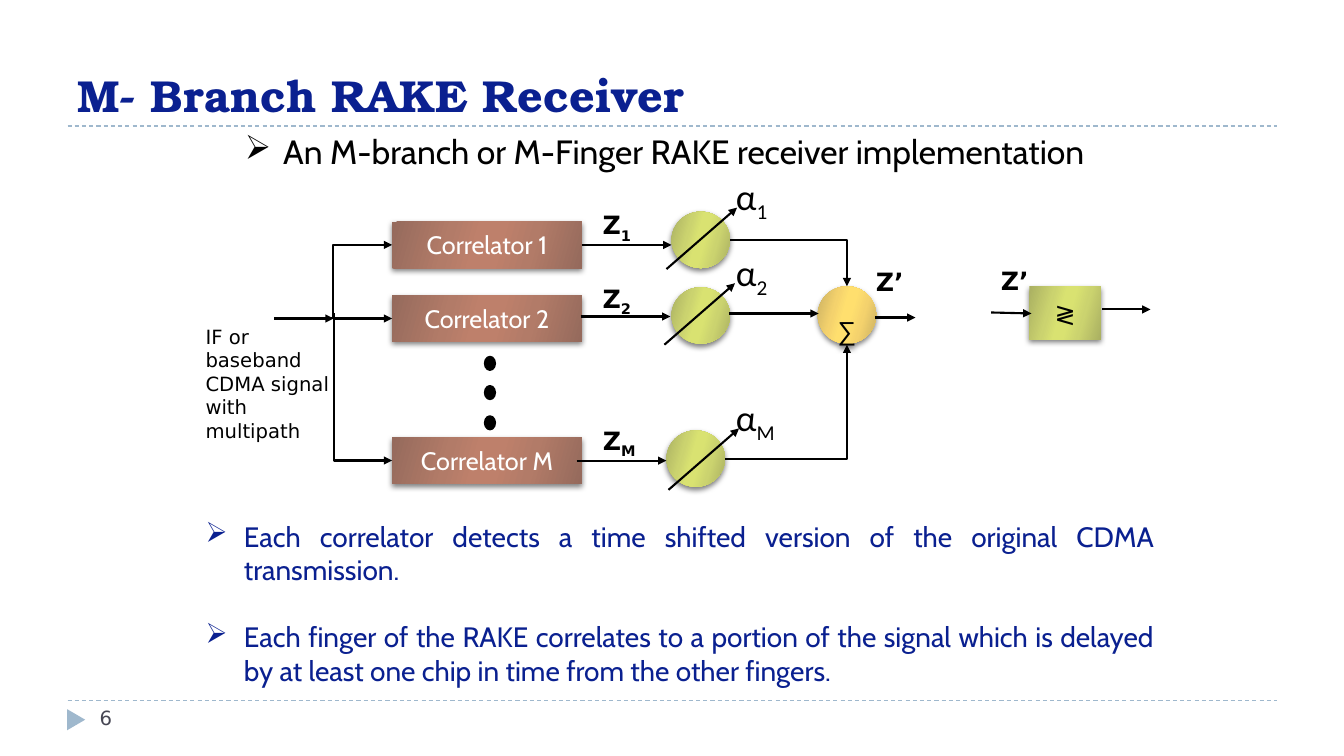
from dataclasses import dataclass

from lxml.etree import SubElement
from pptx import Presentation
from pptx.dml.color import RGBColor
from pptx.enum.dml import MSO_LINE
from pptx.enum.shapes import MSO_CONNECTOR as Wire, MSO_SHAPE as Preset
from pptx.enum.text import MSO_ANCHOR as Anchor, PP_ALIGN as Align
from pptx.oxml.ns import qn
from pptx.util import Inches, Pt


@dataclass(frozen=True)
class Theme:
    navy: str = "0A2090"
    black: str = "000000"
    white: str = "FFFFFF"
    slate: str = "464653"
    rule: str = "9FB8CD"
    # Gradient tones: edge, shoulder, centre
    brown: tuple = ("956A5C", "B27B68", "BE806B")
    lime: tuple = ("AAB062", "CBD36F", "D9E271")
    amber: tuple = ("CAB062", "F4D26D", "FFDF6E")
    heading: str = "TeX Gyre Bonum"
    body: str = "Cabin"
    label: str = "DejaVu Sans"
    greek: str = "Calibri"
    symbol: str = "Arial"
    title_size: int = 32
    gain_size: int = 26
    lead_size: int = 24
    body_size: int = 20
    label_size: int = 18
    small_size: int = 14


def rgb(code):
    return RGBColor.from_string(code)


def write(frame, *paragraphs, size, font, color, bold=False, align=Align.LEFT,
          anchor=Anchor.TOP, bullet=False, gap=0):
    """Fill a frame; whatever follows an underscore is set as a subscript."""
    frame.word_wrap = True
    frame.vertical_anchor = anchor
    for number, text in enumerate(paragraphs):
        para = frame.add_paragraph() if number else frame.paragraphs[0]
        para.alignment = align
        if number and gap:
            para.space_before = Pt(gap)
        if bullet:
            props = para._p.get_or_add_pPr()
            props.set("marL", str(Inches(0.38)))
            props.set("indent", str(-Inches(0.38)))
            SubElement(SubElement(props, qn("a:buClr")), qn("a:srgbClr"), val=color)
            SubElement(props, qn("a:buFont"), typeface="Wingdings")
            SubElement(props, qn("a:buChar"), char="Ø")
        for level, piece in enumerate(text.split("_")):
            if not piece:
                continue
            run = para.add_run()
            run.text = piece
            run.font.size, run.font.name, run.font.bold = Pt(size), font, bold
            run.font.color.rgb = rgb(color)
            if level:
                run.font._element.set("baseline", "-25000")


class Diagram:
    def __init__(self, slide, theme):
        self.slide, self.theme = slide, theme

    def text(self, left, top, width, height, *paragraphs, **style):
        box = self.slide.shapes.add_textbox(*map(Inches, (left, top, width, height)))
        write(box.text_frame, *paragraphs, **style)

    def solid(self, preset, left, top, width, height, color, turn=0):
        shape = self.slide.shapes.add_shape(preset, *map(Inches, (left, top, width, height)))
        shape.rotation = turn
        shape.shadow.inherit = False
        shape.fill.solid()
        shape.fill.fore_color.rgb = rgb(color)
        shape.line.fill.background()
        return shape

    def block(self, preset, left, top, width, height, tones, text="", **style):
        """Glossy shape with a soft shadow below it."""
        shape = self.slide.shapes.add_shape(preset, *map(Inches, (left, top, width, height)))
        props = shape._element.spPr
        gradient = SubElement(props, qn("a:gradFill"), rotWithShape="1")
        stops = SubElement(gradient, qn("a:gsLst"))
        edge, shoulder, centre = tones
        for place, tone in ((0, edge), (30, shoulder), (45, centre),
                            (55, centre), (73, shoulder), (100, edge)):
            stop = SubElement(stops, qn("a:gs"), pos=str(place * 1000))
            SubElement(stop, qn("a:srgbClr"), val=tone)
        SubElement(gradient, qn("a:lin"), ang=str(16 * 60000), scaled="0")
        shape.line.fill.background()
        shape.shadow.inherit = False
        shadow = SubElement(props.find(qn("a:effectLst")), qn("a:outerShdw"),
                            blurRad=str(Pt(4)), dist=str(Pt(2)), dir="5400000",
                            algn="ctr", rotWithShape="0")
        shade = SubElement(shadow, qn("a:srgbClr"), val=self.theme.black)
        SubElement(shade, qn("a:alpha"), val="50000")
        if text:
            write(shape.text_frame, text, align=Align.CENTER, anchor=Anchor.MIDDLE, **style)

    def line(self, start, end, color, width, kind=Wire.STRAIGHT):
        wire = self.slide.shapes.add_connector(kind, *map(Inches, (*start, *end)))
        wire.line.color.rgb = rgb(color)
        wire.line.width = Pt(width)
        SubElement(wire._element.spPr, qn("a:effectLst"))
        return wire

    def rule(self, height):
        wire = self.line((0.67, height), (12.67, height), self.theme.rule, 0.75)
        wire.line.dash_style = MSO_LINE.DASH

    def arrow(self, start, end, bends=0, tip="a:tailEnd"):
        kind = Wire.ELBOW if bends else Wire.STRAIGHT
        wire = self.line(start, end, self.theme.black, 1.5, kind)
        if bends == 1:
            wire._element.spPr.find(qn("a:prstGeom")).set("prst", "bentConnector2")
        SubElement(wire.line._get_or_add_ln(), qn(tip), type="triangle")


def main():
    deck = Presentation()
    deck.slide_width, deck.slide_height = Inches(13.33), Inches(7.5)
    theme = Theme()
    rake = Diagram(deck.slides.add_slide(deck.slide_layouts[6]), theme)
    signal = dict(size=theme.label_size, font=theme.label, color=theme.black, bold=True)
    gain = dict(size=theme.gain_size, font=theme.greek, color=theme.black)
    small = dict(size=theme.small_size, font=theme.label)
    points = dict(font=theme.body, align=Align.JUSTIFY, bullet=True)

    # Frame: rules, page marker, title and page number
    rake.rule(6.95)
    rake.rule(1.25)
    rake.solid(Preset.ISOSCELES_TRIANGLE, 0.65, 7.05, 0.21, 0.18, theme.rule, turn=90)
    rake.text(0.67, 0.17, 12, 1.08, "M- Branch RAKE Receiver", size=theme.title_size,
              font=theme.heading, color=theme.navy, bold=True, anchor=Anchor.BOTTOM)
    rake.text(0.89, 6.95, 2.89, 0.4, "6", color=theme.slate, **small)

    # Statements above and below the diagram
    rake.text(2.33, 1.25, 8.87, 0.5, "An M-branch or M-Finger RAKE receiver implementation",
              size=theme.lead_size, color=theme.black, **points)
    rake.text(1.94, 5.1, 9.61, 1.78,
              "Each correlator detects a time shifted version of the original CDMA transmission.",
              "Each finger of the RAKE correlates to a portion of the signal which is delayed "
              "by at least one chip in time from the other fingers.",
              size=theme.body_size, color=theme.navy, gap=24, **points)

    # Branches: correlator, wire, adjustable gain
    branches = (
        ("1", 2.2, (5.77, 2.43), (6.66, 2.1), (6.61, 2.67), 0.54),
        ("2", 2.93, (5.76, 3.14), (6.66, 2.85), (6.59, 3.42), 0.54),
        ("M", 4.34, (5.72, 4.57), (6.61, 4.27), (6.63, 4.86), 0.65),
    )
    for index, top, output, dial, sweep, label_width in branches:
        rake.block(Preset.RECTANGLE, 3.89, top, 1.88, 0.46, theme.brown,
                   f"Correlator {index}", size=theme.label_size, font=theme.body,
                   color=theme.white)
        rake.block(Preset.OVAL, *dial, 0.58, 0.56, theme.lime)
        rake.arrow(output, (output[0] + 0.89, output[1]))
        rake.arrow(sweep, (sweep[0] + 0.7, sweep[1] - 0.61))
        rake.text(5.88, top - 0.17, label_width, 0.4, f"Z_{index}", **signal)
        rake.text(7.2, sweep[1] - 0.99, label_width, 0.54, f"α_{index}", **gain)

    # Dots for the branches in between
    for top in (3.54, 3.83, 4.13):
        dot = rake.solid(Preset.OVAL, 4.81, top, 0.1, 0.13, theme.black)
        dot.line.color.rgb = rgb(theme.black)
        dot.line.width = Pt(1.5)

    # Input signal split over the correlators
    rake.arrow((2.72, 3.16), (3.89, 2.43), bends=2)
    rake.arrow((3.89, 4.57), (3.31, 3.11), bends=1, tip="a:headEnd")
    rake.arrow((3.31, 3.16), (3.89, 3.16))
    rake.arrow((2.72, 3.16), (3.31, 3.16))
    rake.text(1.94, 3.17, 1.44, 1.28, "IF or baseband CDMA signal with multipath",
              color=theme.black, **small)

    # Summation
    rake.block(Preset.OVAL, 8.11, 2.84, 0.58, 0.57, theme.amber, "_∑",
               size=theme.title_size, font=theme.symbol, color=theme.black)
    rake.arrow((7.24, 2.38), (8.4, 2.84), bends=1)
    rake.arrow((7.23, 3.11), (8.12, 3.11))
    rake.arrow((7.19, 4.55), (8.4, 3.42), bends=1)
    rake.arrow((8.68, 3.15), (9.08, 3.15))
    rake.text(8.59, 2.59, 0.54, 0.4, "Z’", **signal)

    # Decision
    rake.block(Preset.RECTANGLE, 10.21, 2.84, 0.71, 0.53, theme.lime, "≷",
               size=theme.label_size, font=theme.symbol, color=theme.black)
    rake.arrow((9.83, 3.1), (10.23, 3.11))
    rake.arrow((10.93, 3.07), (11.41, 3.07))
    rake.text(9.83, 2.58, 0.54, 0.4, "Z’", **signal)

    deck.save("out.pptx")


if __name__ == "__main__":
    main()
